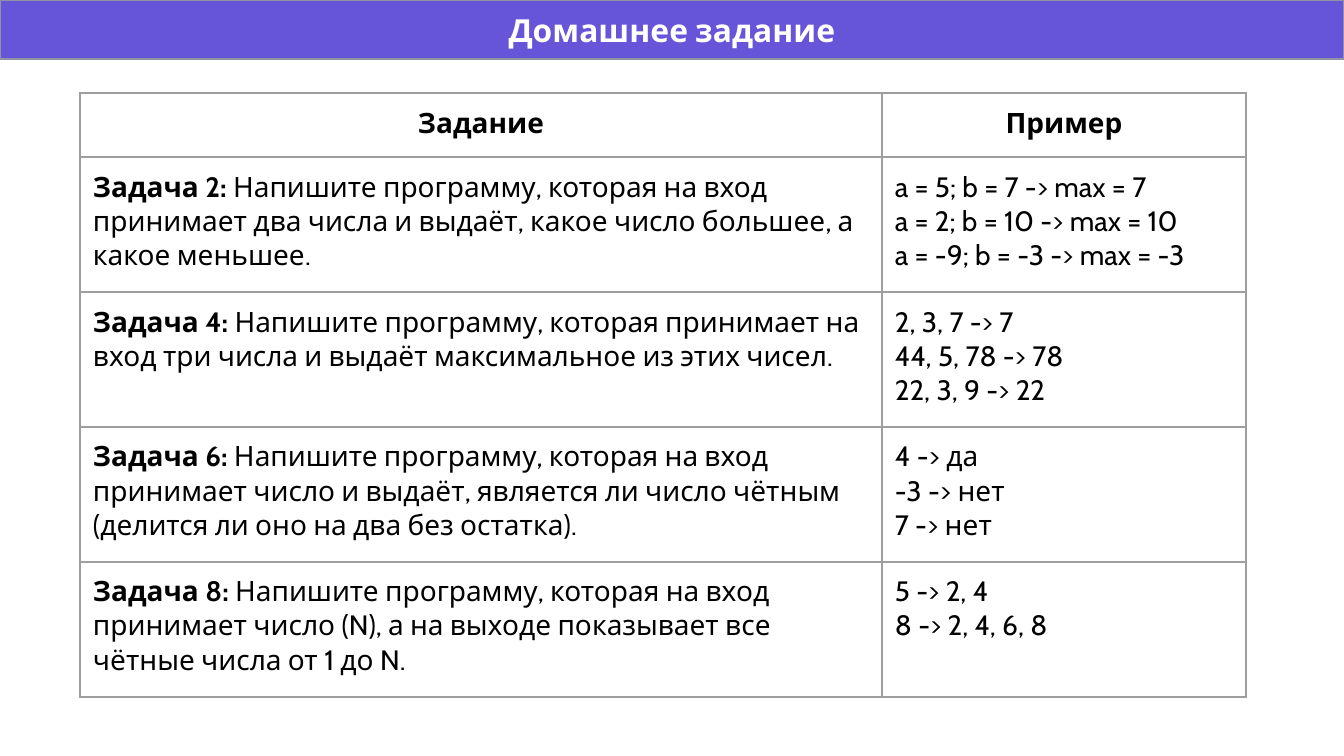
from dataclasses import dataclass

from lxml.etree import SubElement
from pptx import Presentation
from pptx.dml.color import RGBColor
from pptx.enum.shapes import MSO_SHAPE
from pptx.enum.text import MSO_ANCHOR, PP_ALIGN
from pptx.oxml.ns import qn
from pptx.util import Emu, Pt

SCALE = 914400 / 134.4  # EMU in one px


@dataclass(frozen=True)
class Theme:
    font: str = "Cabin"
    title: int = 17
    body: int = 15
    rule: float = 0.75
    banner: str = "6654D9"
    edge: str = "8F93A3"
    grid: str = "9E9E9E"
    ink: str = "000000"
    light: str = "FFFFFF"


THEME = Theme()
PAD = 13
COLS = (802, 364)
HEAD, ROW = 64, 135

TASKS = (
    ("Задача 2:",
     "Напишите программу, которая на вход принимает два числа и выдаёт, "
     "какое число большее, а какое меньшее.",
     ("a = 5; b = 7 -> max = 7", "a = 2; b = 10 -> max = 10",
      "a = -9; b = -3 -> max = -3")),
    ("Задача 4:",
     "Напишите программу, которая принимает на вход три числа и выдаёт "
     "максимальное из этих чисел.",
     ("2, 3, 7 -> 7", "44, 5, 78 -> 78", "22, 3, 9 -> 22")),
    ("Задача 6:",
     "Напишите программу, которая на вход принимает число и выдаёт, "
     "является ли число чётным (делится ли оно на два без остатка).",
     ("4 -> да", "-3 -> нет", "7 -> нет")),
    ("Задача 8:",
     "Напишите программу, которая на вход принимает число (N), а на выходе "
     "показывает все чётные числа от 1 до N.",
     ("5 -> 2, 4", "8 -> 2, 4, 6, 8")),
)


def px(n):
    return Emu(round(n * SCALE))


def rgb(code):
    return RGBColor.from_string(code)


def style(run, size, color, bold=False):
    font = run.font
    font.name, font.size, font.bold = THEME.font, Pt(size), bold
    font.color.rgb = rgb(color)


def inset(box):
    box.margin_left = box.margin_right = px(PAD)
    box.margin_top = box.margin_bottom = px(PAD)


def add_banner(slide, text, width, height):
    bar = slide.shapes.add_shape(MSO_SHAPE.RECTANGLE, 0, 0, px(width), px(height))
    bar.shadow.inherit = False
    bar.fill.solid()
    bar.fill.fore_color.rgb = rgb(THEME.banner)
    bar.line.color.rgb = rgb(THEME.edge)
    bar.line.width = Pt(THEME.rule)
    frame = bar.text_frame
    inset(frame)
    frame.vertical_anchor = MSO_ANCHOR.MIDDLE
    frame.text = text
    para = frame.paragraphs[0]
    para.alignment = PP_ALIGN.CENTER
    style(para.runs[0], THEME.title, THEME.light, True)


def set_grid(cell):
    """Draw a thin line on all four sides; fill must follow lines in tcPr."""
    props = cell._tc.get_or_add_tcPr()
    for side in ("lnL", "lnR", "lnT", "lnB"):
        line = SubElement(props, qn(f"a:{side}"), w=str(Pt(THEME.rule)))
        fill = SubElement(line, qn("a:solidFill"))
        SubElement(fill, qn("a:srgbClr"), val=THEME.grid)
    cell.fill.background()


def fill_head(cell, text):
    cell.text = text
    para = cell.text_frame.paragraphs[0]
    para.alignment = PP_ALIGN.CENTER
    style(para.runs[0], THEME.body, THEME.ink, True)


def fill_task(cell, label, text):
    para = cell.text_frame.paragraphs[0]
    for part, bold in ((f"{label} ", True), (text, False)):
        run = para.add_run()
        run.text = part
        style(run, THEME.body, THEME.ink, bold)


def fill_lines(cell, lines):
    cell.text = "\n".join(lines)
    for para in cell.text_frame.paragraphs:
        style(para.runs[0], THEME.body, THEME.ink)


def add_tasks(slide, left, top):
    count = len(TASKS)
    frame = slide.shapes.add_table(count + 1, len(COLS), px(left), px(top),
                                   px(sum(COLS)), px(HEAD + ROW * count))
    table = frame.table
    table.first_row = table.horz_banding = False
    for col, width in zip(table.columns, COLS):
        col.width = px(width)
    for i, row in enumerate(table.rows):
        row.height = px(ROW if i else HEAD)
    for cell in table.iter_cells():
        inset(cell)
        set_grid(cell)
    for i, text in enumerate(("Задание", "Пример")):
        fill_head(table.cell(0, i), text)
    for i, (label, text, lines) in enumerate(TASKS, 1):
        fill_task(table.cell(i, 0), label, text)
        fill_lines(table.cell(i, 1), lines)


def main():
    deck = Presentation()
    deck.slide_width, deck.slide_height = px(1344), px(756)
    slide = deck.slides.add_slide(deck.slide_layouts[6])
    add_banner(slide, "Домашнее задание", 1344, 59)
    add_tasks(slide, 80, 93)
    deck.save("out.pptx")


if __name__ == "__main__":
    main()
